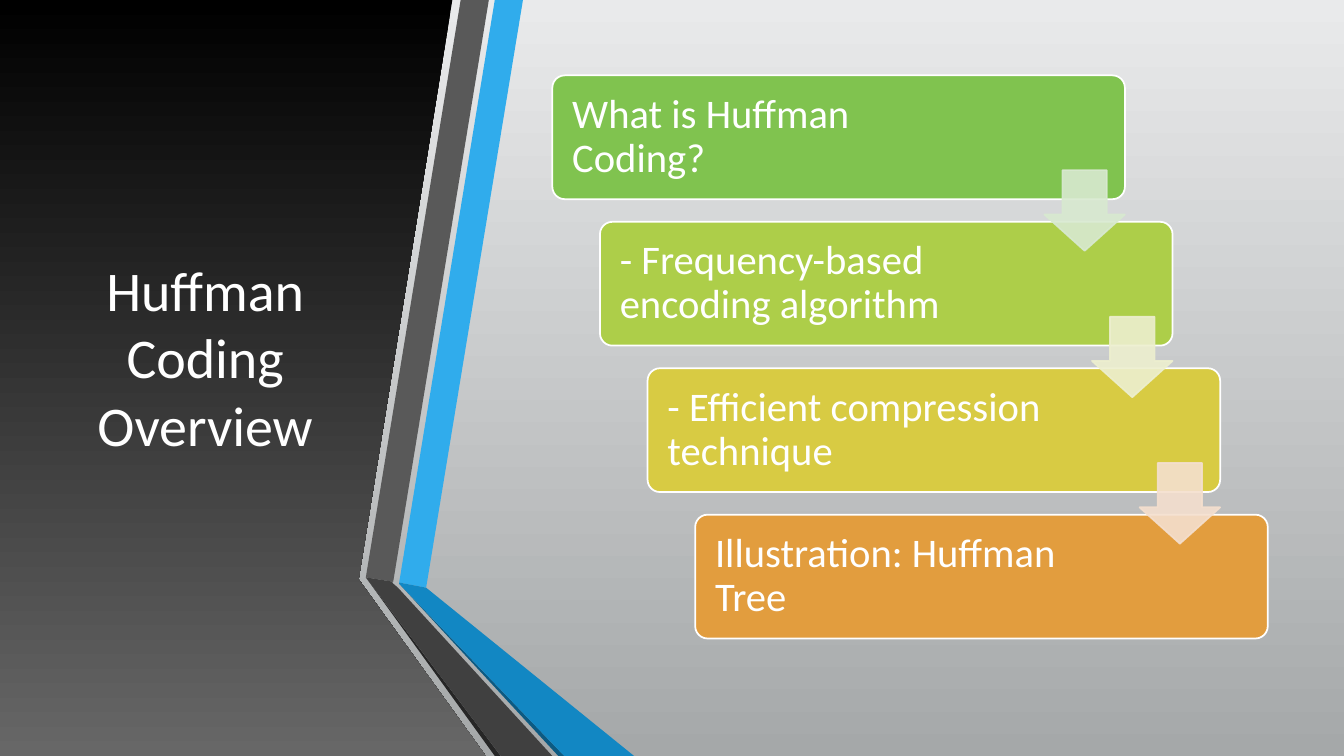
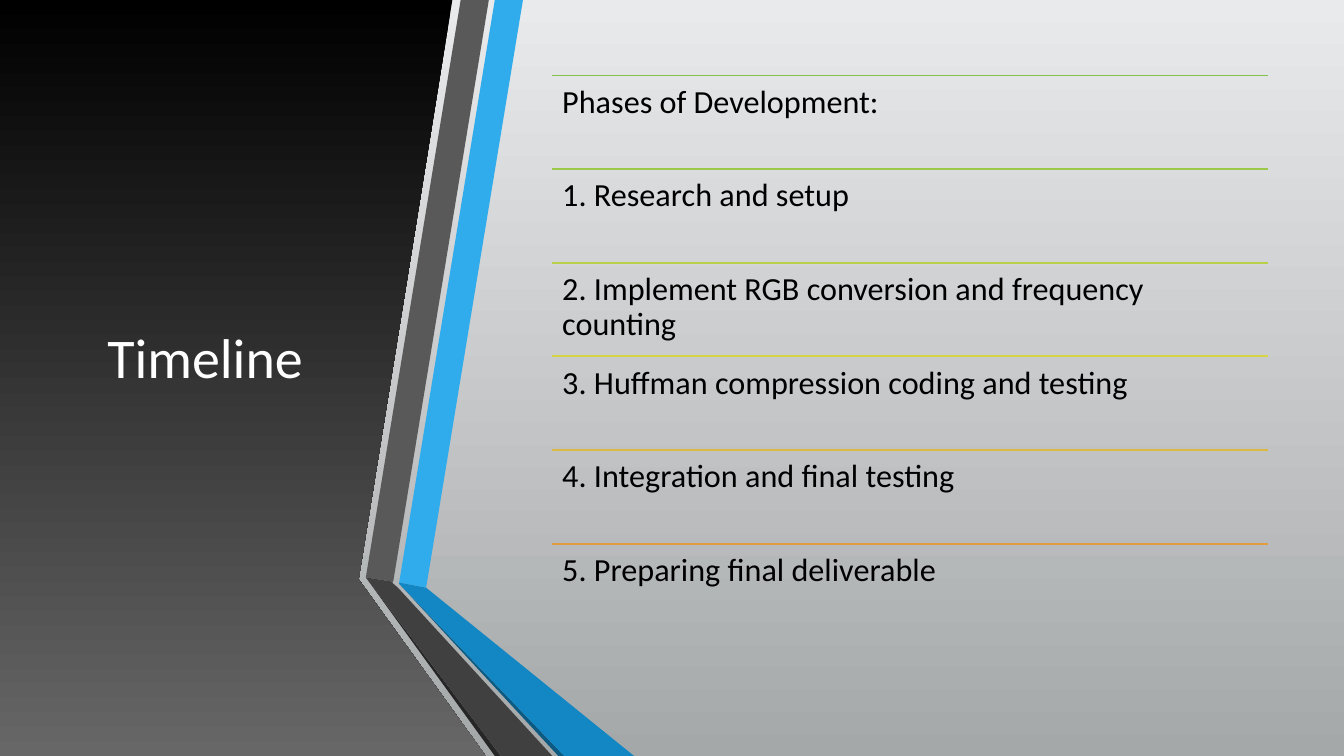
from lxml.etree import SubElement
from pptx import Presentation
from pptx.dml.color import RGBColor
from pptx.enum.shapes import MSO_CONNECTOR as Connector, MSO_SHAPE as Preset
from pptx.enum.text import MSO_ANCHOR as Anchor, PP_ALIGN as Align
from pptx.oxml.ns import qn
from pptx.util import Cm, Pt

WIDTH, HEIGHT = 33.87, 19.05
CONTENT_LEFT, CONTENT_TOP = 13.92, 1.9

PANEL = [(0, 0), (11.4, 0), (9.04, 14.6), (12.24, HEIGHT), (0, HEIGHT)]
BANDS = [
    ("30ACEC", [(10.06, 14.68), (10.74, 14.81), (13.18, 0), (12.47, 0)]),
    ("595959", [(12.32, 0), (11.61, 0), (9.22, 14.55), (9.91, 14.66)]),
    ("262626", [(9.22, 14.55), (12.47, HEIGHT), (12.62, HEIGHT)]),
    ("0C5A82", [(10.06, 14.71), (14.07, HEIGHT), (14.22, HEIGHT)]),
    ("1287C3", [(10.06, 14.71), (14.22, HEIGHT), (15.98, HEIGHT),
                (10.74, 14.81), (10.06, 14.68)]),
    ("404040", [(13.92, HEIGHT), (10.03, 14.81), (9.88, 14.68),
                (9.91, 14.66), (9.22, 14.55), (12.62, HEIGHT)]),
]

STEPS = [
    ("What is Huffman Coding?", "80C34F"),
    ("- Frequency-based encoding algorithm", "ADCE49"),
    ("- Efficient compression technique", "D8CB43"),
    ("Illustration: Huffman Tree", "E29D3E"),
]
ARROW_COLORS = ["D8E9D0", "EDEFCF", "F4DFCE"]
PHASES = [
    ("Phases of Development:", "80C34F"),
    ("1. Research and setup", "9AC94B"),
    ("2. Implement RGB conversion and frequency counting", "B8D048"),
    ("3. Huffman compression coding and testing", "D6D344"),
    ("4. Integration and final testing", "DCBA41"),
    ("5. Preparing final deliverable", "E29D3E"),
]


def rgb(value):
    return RGBColor.from_string(value)


class Deck:
    font = "Calibri"
    line_width = Pt(1.25)

    def __init__(self):
        self.prs = Presentation()
        self.prs.slide_width, self.prs.slide_height = Cm(WIDTH), Cm(HEIGHT)
        self.gradient(self.prs.slide_master.background.fill, "E9EAEB", "A5A8A9")

    def gradient(self, fill, top, bottom):
        fill.gradient()
        fill.gradient_angle = 270
        for stop, color in zip(fill.gradient_stops, (top, bottom)):
            stop.color.rgb = rgb(color)

    def solid(self, fill, color):
        fill.solid()
        fill.fore_color.rgb = rgb(color)

    def new_slide(self, heading):
        self.slide = self.prs.slides.add_slide(self.prs.slide_layouts[5])
        self.gradient(self.outline(PANEL).fill, "000000", "676767")
        for color, points in BANDS:
            self.solid(self.outline(points).fill, color)
        self.title(heading)

    def title(self, heading):
        title = self.slide.shapes.title
        title.left, title.top = Cm(1.5), Cm(CONTENT_TOP)
        title.width, title.height = Cm(7.34), Cm(14.17)
        self.add_text(title.text_frame, heading, 40, "FFFFFF",
                      Anchor.MIDDLE, Align.CENTER, 1.0)
        title.element.getparent().append(title.element)

    def outline(self, points):
        start, *rest = [(Cm(x), Cm(y)) for x, y in points]
        builder = self.slide.shapes.build_freeform(*start)
        builder.add_line_segments(rest, close=True)
        outline = builder.convert_to_shape()
        outline.line.fill.background()
        outline.shadow.inherit = False
        return outline

    def add_text(self, frame, text, size, color, anchor, align=Align.LEFT, spacing=0.9):
        frame.word_wrap = True
        frame.vertical_anchor = anchor
        paragraph = frame.paragraphs[0]
        paragraph.alignment = align
        paragraph.line_spacing = spacing
        run = paragraph.add_run()
        run.text = text
        run.font.name = self.font
        run.font.size = Pt(size)
        run.font.color.rgb = rgb(color)

    def margins(self, frame, margin, right):
        frame.margin_left = frame.margin_top = frame.margin_bottom = Cm(margin)
        frame.margin_right = Cm(right)

    def preset(self, kind, left, top, width, height, adjustments, fill, line):
        shape = self.slide.shapes.add_shape(
            kind, Cm(left), Cm(top), Cm(width), Cm(height))
        for index, value in enumerate(adjustments):
            shape.adjustments[index] = value
        self.solid(shape.fill, fill)
        shape.line.color.rgb = rgb(line)
        shape.line.width = self.line_width
        shape.shadow.inherit = False
        return shape

    def step(self, left, top, width, height, text, color):
        box = self.preset(Preset.ROUNDED_RECTANGLE, left, top, width, height,
                          [0.1], color, "FFFFFF")
        self.margins(box.text_frame, 0.41, 3.84)
        self.add_text(box.text_frame, text, 29, "FFFFFF", Anchor.MIDDLE)

    def arrow(self, left, top, size, color):
        arrow = self.preset(Preset.DOWN_ARROW, left, top, size, size,
                            [0.55, 0.45], color, color)
        for tint in arrow.element.spPr.iter(qn("a:srgbClr")):
            SubElement(tint, qn("a:alpha"), val="90000")

    def rule(self, left, top, width, color):
        rule = self.slide.shapes.add_connector(
            Connector.STRAIGHT, Cm(left), Cm(top), Cm(left + width), Cm(top))
        rule.line.color.rgb = rgb(color)
        rule.line.width = self.line_width
        SubElement(rule.element.spPr, qn("a:effectLst"))

    def phase(self, left, top, width, height, text, color):
        self.rule(left, top, width, color)
        label = self.slide.shapes.add_textbox(
            Cm(left), Cm(top), Cm(width), Cm(height))
        self.margins(label.text_frame, 0.25, 0.25)
        self.add_text(label.text_frame, text, 23, "000000", Anchor.TOP)


def build_overview(deck):
    deck.new_slide("Huffman Coding Overview")
    width, height, arrow_size = 14.43, 3.12, 2.03
    corners = [(CONTENT_LEFT + 1.2 * i, CONTENT_TOP + 3.69 * i)
               for i in range(len(STEPS))]
    for (left, top), (text, color) in zip(corners, STEPS):
        deck.step(left, top, width, height, text, color)
    for (left, top), color in zip(corners, ARROW_COLORS):
        deck.arrow(left + width - arrow_size, top + 2.39, arrow_size, color)


def build_timeline(deck):
    deck.new_slide("Timeline")
    row_height = 2.36
    for i, (text, color) in enumerate(PHASES):
        deck.phase(CONTENT_LEFT, CONTENT_TOP + row_height * i, 18.03, row_height,
                   text, color)


def main():
    deck = Deck()
    build_overview(deck)
    build_timeline(deck)
    deck.prs.save("out.pptx")


if __name__ == "__main__":
    main()
